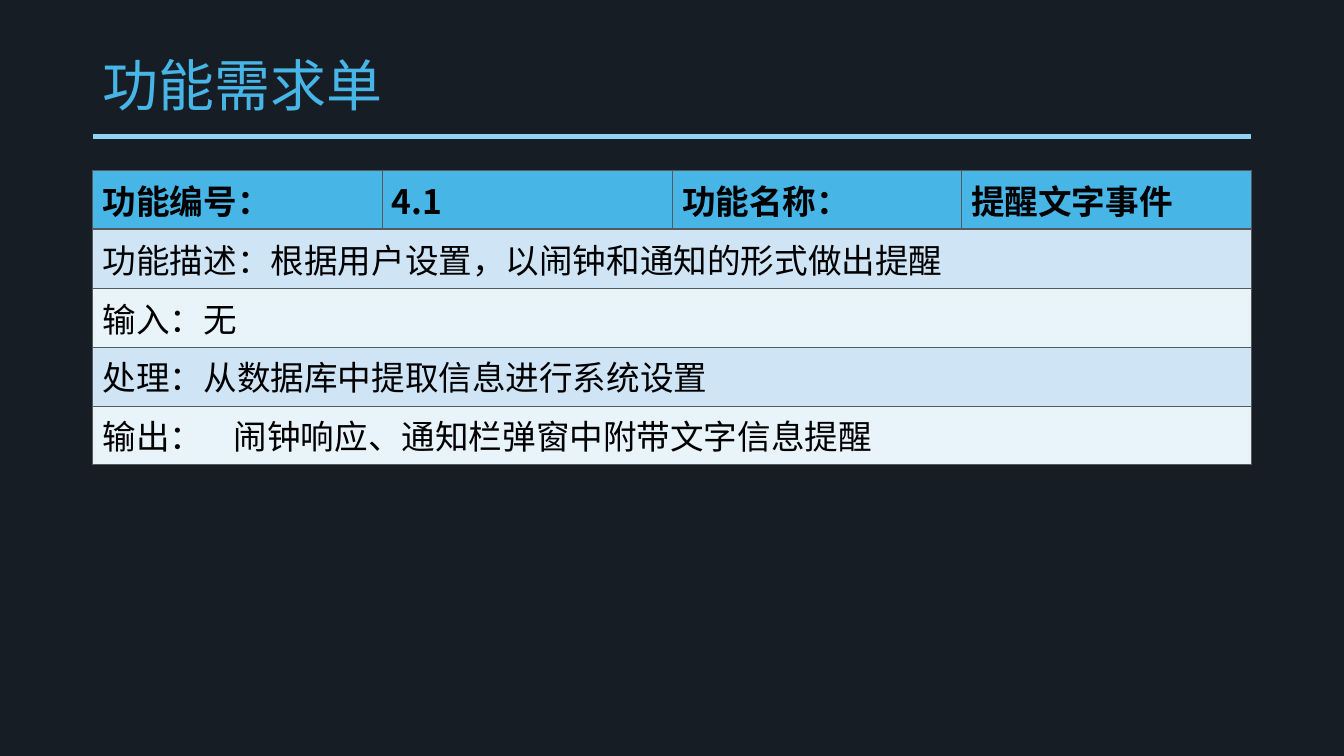
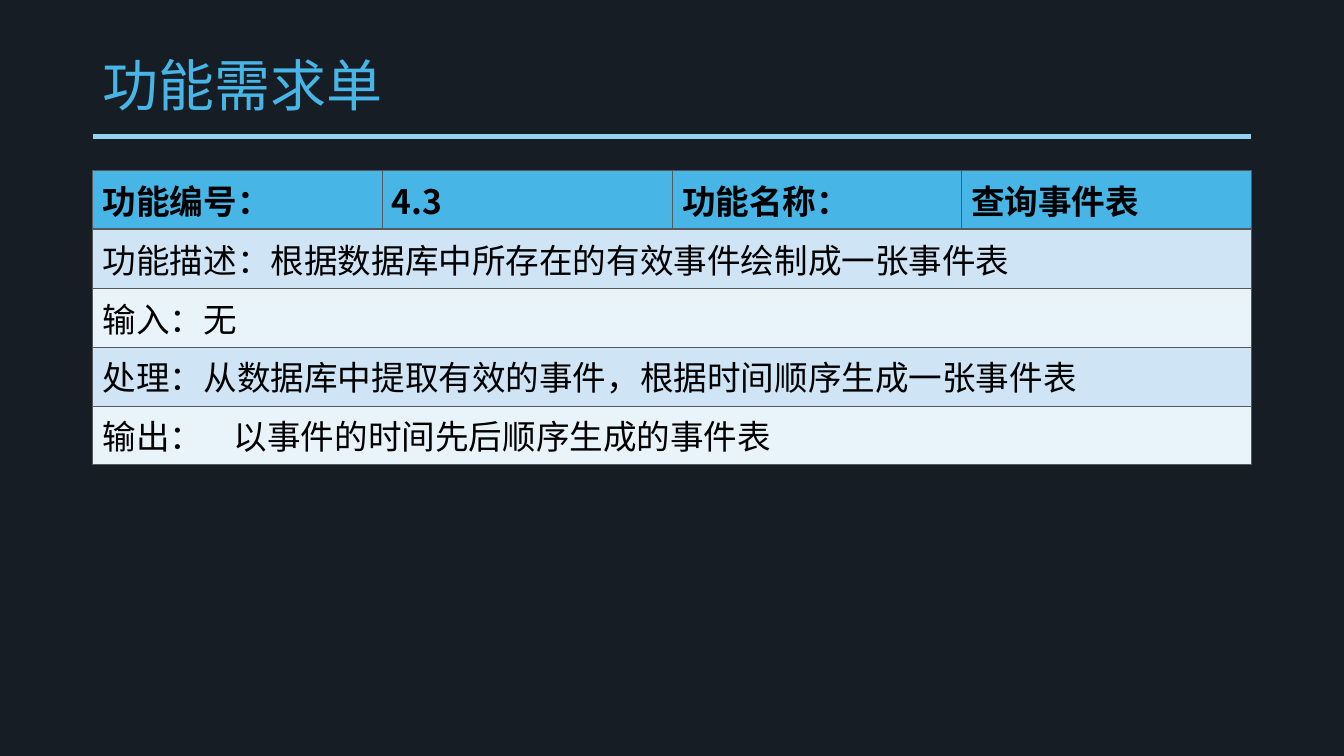
import dataclasses

import lxml.etree
import pptx
import pptx.dml.color
import pptx.enum.shapes
import pptx.enum.text
import pptx.oxml.ns
import pptx.util

PX = 9144
qn = pptx.oxml.ns.qn


@dataclasses.dataclass(frozen=True)
class Theme:
    """Colours, fonts and sizes shared by the slides."""
    background: str = "171D25"
    accent: str = "47B6E7"
    rule: str = "91D3F1"
    text: str = "000000"
    border: str = "55595B"
    bands: tuple = ("CFE5F6", "E9F3FA")
    title_font: str = "Arial"
    body_font: str = "Noto Sans CJK SC"
    title_size: int = 40
    body_size: int = 24
    rule_width: float = 3.5
    thin: float = 0.45
    thick: float = 1.47


THEME = Theme()
TITLE = "功能需求单"
TITLE_BOX = (92, 40, 1150, 95)
TABLE_BOX = (92, 169, 1150, 292)
COLUMNS = (287, 288, 287, 288)
OUTPUT_TAB = 130

REQUIREMENTS = [
    (
        ("功能编号：", "4.1", "功能名称：", "提醒文字事件"),
        (
            "功能描述：根据用户设置，以闹钟和通知的形式做出提醒",
            "输入：无",
            "处理：从数据库中提取信息进行系统设置",
            "输出：\t闹钟响应、通知栏弹窗中附带文字信息提醒",
        ),
    ),
    (
        ("功能编号：", "4.3", "功能名称：", "查询事件表"),
        (
            "功能描述：根据数据库中所存在的有效事件绘制成一张事件表",
            "输入：无",
            "处理：从数据库中提取有效的事件，根据时间顺序生成一张事件表",
            "输出：\t以事件的时间先后顺序生成的事件表",
        ),
    ),
]


def emu(*lengths):
    """Turn px lengths into EMU."""
    return [pptx.util.Emu(n * PX) for n in lengths]


def rgb(value):
    """Return a colour from its hex form."""
    return pptx.dml.color.RGBColor.from_string(value)


def write(p, text, color, **formats):
    """Write one formatted run, with the body font for East Asian text."""
    r = p.add_run()
    r.text = text
    for name, value in formats.items():
        setattr(r.font, name, value)
    r.font.color.rgb = rgb(color)
    ea = lxml.etree.SubElement(r._r.get_or_add_rPr(), qn("a:ea"))
    ea.set("typeface", THEME.body_font)


def add_heading(s, box):
    """Place the title text and the rule along the bottom of its box."""
    left, top, width, height = box
    tf = s.shapes.add_textbox(*emu(*box)).text_frame
    tf.word_wrap = True
    tf.vertical_anchor = pptx.enum.text.MSO_ANCHOR.MIDDLE
    p = tf.paragraphs[0]
    p.line_spacing = 0.9
    write(p, TITLE, THEME.accent, name=THEME.title_font,
          size=pptx.util.Pt(THEME.title_size))
    rule = s.shapes.add_connector(
        pptx.enum.shapes.MSO_CONNECTOR.STRAIGHT,
        *emu(left, top + height, left + width, top + height))
    rule.line.color.rgb = rgb(THEME.rule)
    rule.line.width = pptx.util.Pt(THEME.rule_width)
    lxml.etree.SubElement(rule._element.spPr, qn("a:effectLst"))


def style_cell(cell, row, fill):
    """Give a cell its borders and fill, with a thick line under the header."""
    tcPr = cell._tc.get_or_add_tcPr()
    thick_side = {0: "B", 1: "T"}.get(row)
    for side in "LRTB":
        width = THEME.thick if side == thick_side else THEME.thin
        ln = lxml.etree.SubElement(tcPr, qn("a:ln" + side))
        ln.set("w", str(int(pptx.util.Pt(width))))
        solid = lxml.etree.SubElement(ln, qn("a:solidFill"))
        lxml.etree.SubElement(solid, qn("a:srgbClr")).set("val", THEME.border)
    cell.fill.solid()
    cell.fill.fore_color.rgb = rgb(fill)


def write_cell(cell, text, bold):
    """Write a cell's text, with a tab stop where it is needed."""
    p = cell.text_frame.paragraphs[0]
    if "\t" in text:
        tabs = lxml.etree.SubElement(p._p.get_or_add_pPr(), qn("a:tabLst"))
        tab = lxml.etree.SubElement(tabs, qn("a:tab"))
        tab.set("pos", str(OUTPUT_TAB * PX))
        tab.set("algn", "l")
    write(p, text, THEME.text, name=THEME.body_font, bold=bold,
          size=pptx.util.Pt(THEME.body_size))


def add_requirement(s, box, header, details):
    """Place the requirement table: a header row and full-width banded rows."""
    rows = [header] + [(detail,) for detail in details]
    left, top, width, height = emu(*box)
    table = s.shapes.add_table(
        len(rows), len(COLUMNS), left, top, width, height).table
    for column, column_width in zip(table.columns, emu(*COLUMNS)):
        column.width = column_width
    for i, texts in enumerate(rows):
        table.rows[i].height = height // len(rows)
        fill = THEME.bands[(i - 1) % 2] if i else THEME.accent
        for j in range(len(COLUMNS)):
            style_cell(table.cell(i, j), i, fill)
        if len(texts) == 1:
            table.cell(i, 0).merge(table.cell(i, len(COLUMNS) - 1))
        for j, text in enumerate(texts):
            write_cell(table.cell(i, j), text, i == 0)


def main():
    """Build and save the slides."""
    prs = pptx.Presentation()
    prs.slide_width, prs.slide_height = emu(1334, 750)
    background = prs.slide_master.background.fill
    background.solid()
    background.fore_color.rgb = rgb(THEME.background)
    for header, details in REQUIREMENTS:
        s = prs.slides.add_slide(prs.slide_layouts[6])
        add_heading(s, TITLE_BOX)
        add_requirement(s, TABLE_BOX, header, details)
    prs.save("out.pptx")


if __name__ == "__main__":
    main()
